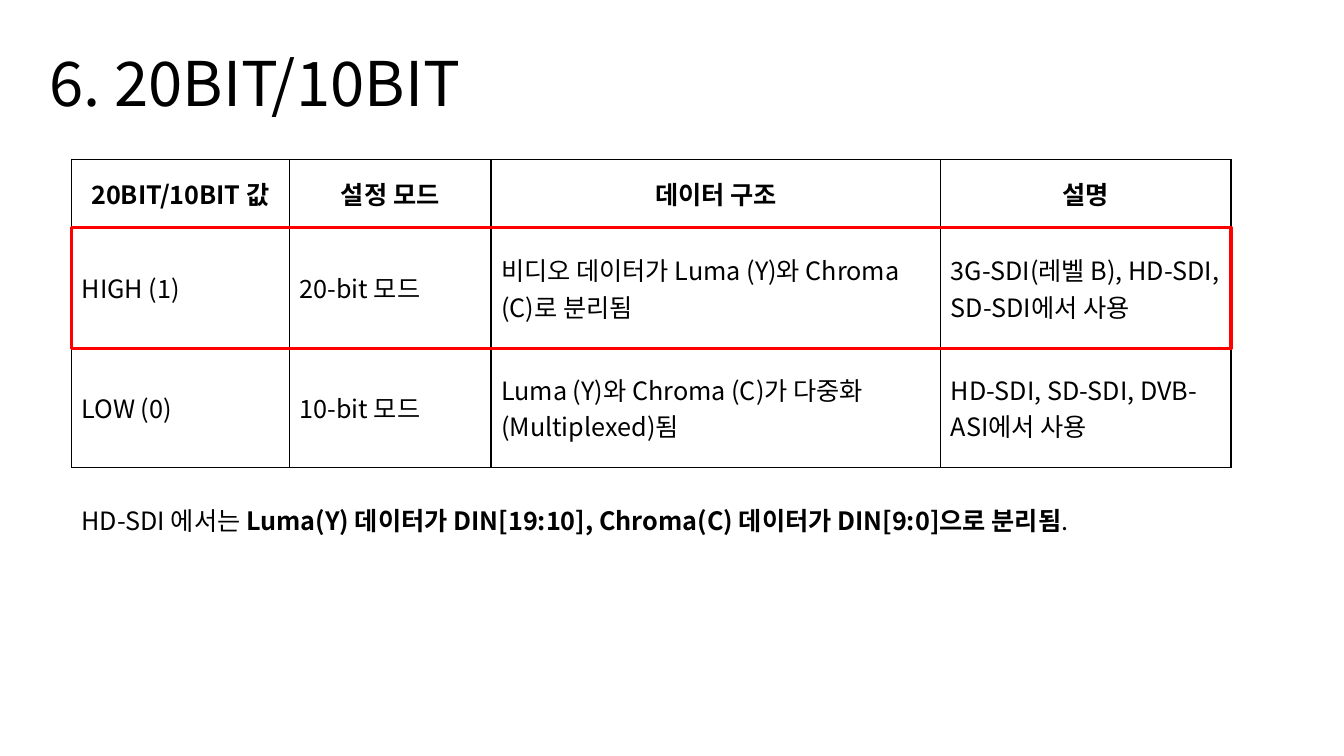
from lxml.etree import SubElement
from pptx import Presentation
from pptx.dml.color import RGBColor
from pptx.enum.shapes import MSO_SHAPE
from pptx.enum.text import MSO_ANCHOR, PP_ALIGN
from pptx.oxml import parse_xml
from pptx.oxml.ns import nsdecls, qn
from pptx.util import Inches, Pt

BLACK = RGBColor(0x00, 0x00, 0x00)
RED = RGBColor(0xFF, 0x00, 0x00)
FONT = "Noto Sans CJK KR"

COL_WIDTHS = [2.16, 2, 4.46, 2.88]
ROW_HEIGHTS = [0.68, 1.19, 1.19]
ROWS = [
    ["20BIT/10BIT 값", "설정 모드", "데이터 구조", "설명"],
    ["HIGH (1)", "20-bit 모드", "비디오 데이터가 Luma (Y)와 Chroma (C)로 분리됨",
     "3G-SDI(레벨 B), HD-SDI, SD-SDI에서 사용"],
    ["LOW (0)", "10-bit 모드", "Luma (Y)와 Chroma (C)가 다중화(Multiplexed)됨",
     "HD-SDI, SD-SDI, DVB-ASI에서 사용"],
]
NOTE = [
    ("HD-SDI 에서는 ", False),
    ("Luma(Y) 데이터가 DIN[19:10], Chroma(C) 데이터가 DIN[9:0]으로 분리됨", True),
    (".", False),
]


class SlideBuilder:
    def __init__(self, slide, font, color):
        self.slide = slide
        self.font = font
        self.color = color

    def run(self, p, text, size=18, bold=False):
        r = p.add_run()
        r.text = text
        r.font.size = Pt(size)
        r.font.bold = bold
        r.font.name = self.font
        r.font.color.rgb = self.color
        SubElement(r.font._element, qn("a:ea"), typeface=self.font)

    def text(self, box, runs, size=18, anchor=MSO_ANCHOR.TOP, spacing=None):
        tf = self.slide.shapes.add_textbox(*map(Inches, box)).text_frame
        tf.word_wrap = True
        tf.vertical_anchor = anchor
        p = tf.paragraphs[0]
        p.line_spacing = spacing
        for text, bold in runs:
            self.run(p, text, size, bold)

    def borders(self, cell):
        tc_pr = cell._tc.get_or_add_tcPr()
        for i, side in enumerate("LRTB"):
            tc_pr.insert(i, parse_xml(
                f'<a:ln{side} {nsdecls("a")} w="{Pt(1)}"><a:solidFill>'
                f'<a:srgbClr val="{self.color}"/></a:solidFill></a:ln{side}>'))

    def table(self, box, rows, widths, heights):
        shape = self.slide.shapes.add_table(len(rows), len(widths), *map(Inches, box))
        table = shape.table
        for col, width in zip(table.columns, widths):
            col.width = Inches(width)
        for i, (row, height) in enumerate(zip(table.rows, heights)):
            row.height = Inches(height)
            for cell, text in zip(row.cells, rows[i]):
                cell.fill.background()
                cell.vertical_anchor = MSO_ANCHOR.MIDDLE
                self.borders(cell)
                p = cell.text_frame.paragraphs[0]
                p.alignment = PP_ALIGN.LEFT if i else PP_ALIGN.CENTER
                self.run(p, text, bold=i == 0)

    def outline(self, box, color, width):
        sp = self.slide.shapes.add_shape(MSO_SHAPE.RECTANGLE, *map(Inches, box))
        sp.shadow.inherit = False
        sp.fill.background()
        sp.line.color.rgb = color
        sp.line.width = Pt(width)


def main():
    prs = Presentation()
    prs.slide_width = Inches(13.33)
    prs.slide_height = Inches(7.5)
    s = SlideBuilder(prs.slides.add_slide(prs.slide_layouts[6]), FONT, BLACK)
    s.text((0.39, 0.13, 11.5, 1.45), [("6. 20BIT/10BIT", False)], 44,
           MSO_ANCHOR.MIDDLE, 0.9)
    s.table((0.71, 1.58, 11.5, 3.06), ROWS, COL_WIDTHS, ROW_HEIGHTS)
    s.outline((0.71, 2.26, 11.5, 1.2), RED, 2.25)
    s.text((0.71, 4.96, 11.31, 0.4), NOTE)
    prs.save("out.pptx")


if __name__ == "__main__":
    main()
